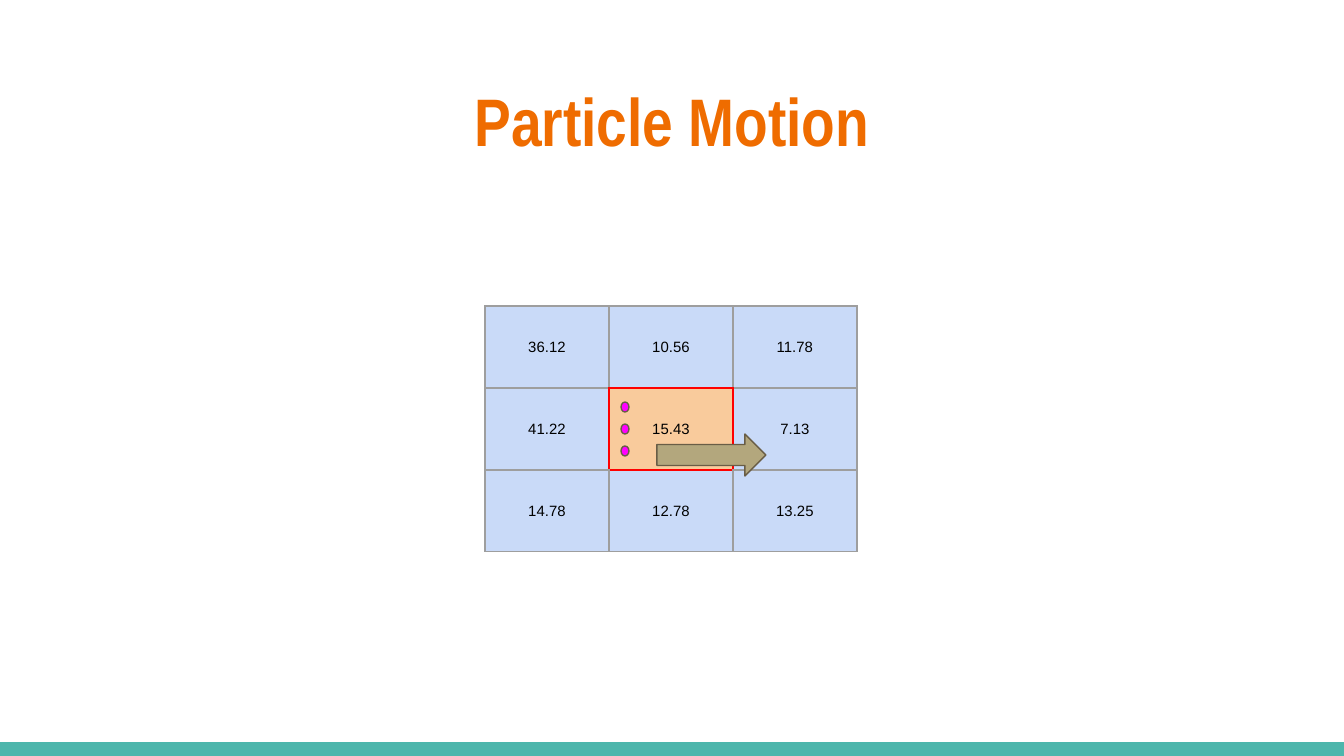
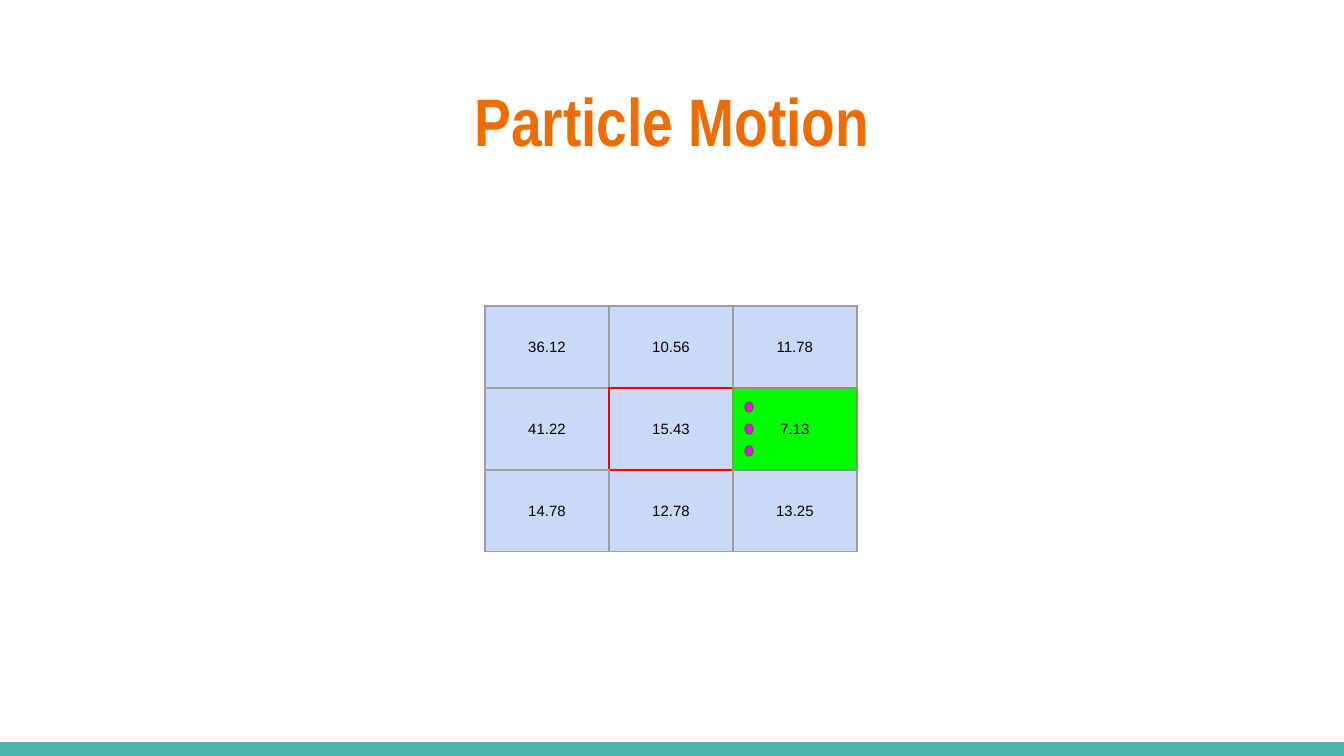
from lxml import etree
from pptx import Presentation
from pptx.dml.color import RGBColor
from pptx.enum.shapes import MSO_SHAPE
from pptx.enum.text import MSO_ANCHOR, MSO_AUTO_SIZE, PP_ALIGN
from pptx.oxml.ns import qn
from pptx.util import Emu, Pt

PX = 6804  # EMU per pixel at 134.4 pixels to the inch
COLORS = {
    "title": "EF6C00", "band": "4DB6AC", "text": "000000",
    "cell": "C9DAF8", "grid": "9E9E9E",
    "source": "F9CB9C", "source_edge": "FF0000",
    "target": "00FF00", "target_edge": "6AA84F",
    "particle": "FF00FF", "arrow": "B3A77D", "outline": "695D46",
}
VALUES = [
    ["36.12", "10.56", "11.78"],
    ["41.22", "15.43", "7.13"],
    ["14.78", "12.78", "13.25"],
]
GRID_LEFT, GRID_TOP, CELL_W, CELL_H = 485, 306, 124, 82
# Border tag: row step, column step, tag of the facing border
SIDES = {
    "a:lnL": (0, -1, "a:lnR"), "a:lnR": (0, 1, "a:lnL"),
    "a:lnT": (-1, 0, "a:lnB"), "a:lnB": (1, 0, "a:lnT"),
}
# Per slide: cell fills, cell outlines in drawing order, particle column, arrow
STEPS = [
    ({(1, 1): "source"}, [(1, 1, "source_edge")], 1, True),
    ({(1, 2): "target"}, [(1, 1, "source_edge"), (1, 2, "target_edge")], 2, False),
]


def rgb(name):
    return RGBColor.from_string(COLORS[name])


def add_figure(slide, kind, box, fill, line=None):
    figure = slide.shapes.add_shape(kind, *[Emu(v * PX) for v in box])
    figure.shadow.inherit = False
    figure.fill.solid()
    figure.fill.fore_color.rgb = rgb(fill)
    if line:
        figure.line.color.rgb = rgb(line)
        figure.line.width = Pt(0.75)
    else:
        figure.line.fill.background()


prs = Presentation()
prs.slide_width, prs.slide_height = Emu(1344 * PX), Emu(756 * PX)

for fills, outlines, particle_col, has_arrow in STEPS:
    slide = prs.slides.add_slide(prs.slide_layouts[5])

    # Bottom band
    add_figure(slide, MSO_SHAPE.RECTANGLE, (0, 742, 1344, 14), "band")

    # Title
    title = slide.shapes.title
    title.left, title.top, title.width, title.height = [
        Emu(v * PX) for v in (46, 66, 1252, 103)]
    frame = title.text_frame
    frame.auto_size = MSO_AUTO_SIZE.NONE
    frame.word_wrap = True
    frame.vertical_anchor = MSO_ANCHOR.TOP
    frame.margin_left = frame.margin_right = Emu(13 * PX)
    frame.margin_top = frame.margin_bottom = Emu(13 * PX)
    frame.paragraphs[0].alignment = PP_ALIGN.CENTER
    run = frame.paragraphs[0].add_run()
    run.text = "Particle Motion"
    run.font.name, run.font.size, run.font.bold = "Arial Narrow", Pt(36), True
    run.font.color.rgb = rgb("title")

    # Border colours: an outlined cell also colours its neighbours' facing sides
    edges = {}
    for row, col, color in outlines:
        for side, (down, right, facing) in SIDES.items():
            edges[row, col, side] = color
            edges[row + down, col + right, facing] = color

    # Grid of values
    grid = slide.shapes.add_table(
        3, 3, Emu(GRID_LEFT * PX), Emu(GRID_TOP * PX),
        Emu(3 * CELL_W * PX), Emu(3 * CELL_H * PX)).table
    grid.first_row = grid.horz_banding = False
    for i in range(3):
        grid.columns[i].width = Emu(CELL_W * PX)
        grid.rows[i].height = Emu(CELL_H * PX)
    for row, values in enumerate(VALUES):
        for col, value in enumerate(values):
            cell = grid.cell(row, col)
            cell.vertical_anchor = MSO_ANCHOR.MIDDLE
            cell.margin_left = cell.margin_right = Emu(13 * PX)
            cell.margin_top = cell.margin_bottom = Emu(13 * PX)
            for side in SIDES:
                border = etree.SubElement(cell._tc.tcPr, qn(side), w="9525")
                paint = etree.SubElement(border, qn("a:solidFill"))
                etree.SubElement(paint, qn("a:srgbClr"),
                                 val=COLORS[edges.get((row, col, side), "grid")])
            cell.fill.solid()
            cell.fill.fore_color.rgb = rgb(fills.get((row, col), "cell"))
            paragraph = cell.text_frame.paragraphs[0]
            paragraph.alignment = PP_ALIGN.CENTER
            run = paragraph.add_run()
            run.text = value
            run.font.name, run.font.size = "Arial", Pt(8)
            run.font.color.rgb = rgb("text")

    # Particles along the left side of their cell
    particle_left = GRID_LEFT + particle_col * CELL_W + 12
    for i in range(3):
        add_figure(slide, MSO_SHAPE.OVAL, (particle_left, 402 + 22 * i, 8, 10),
                   "particle", "outline")

    # Direction of motion
    if has_arrow:
        add_figure(slide, MSO_SHAPE.RIGHT_ARROW, (657, 434, 109, 42),
                   "arrow", "outline")

prs.save("out.pptx")
